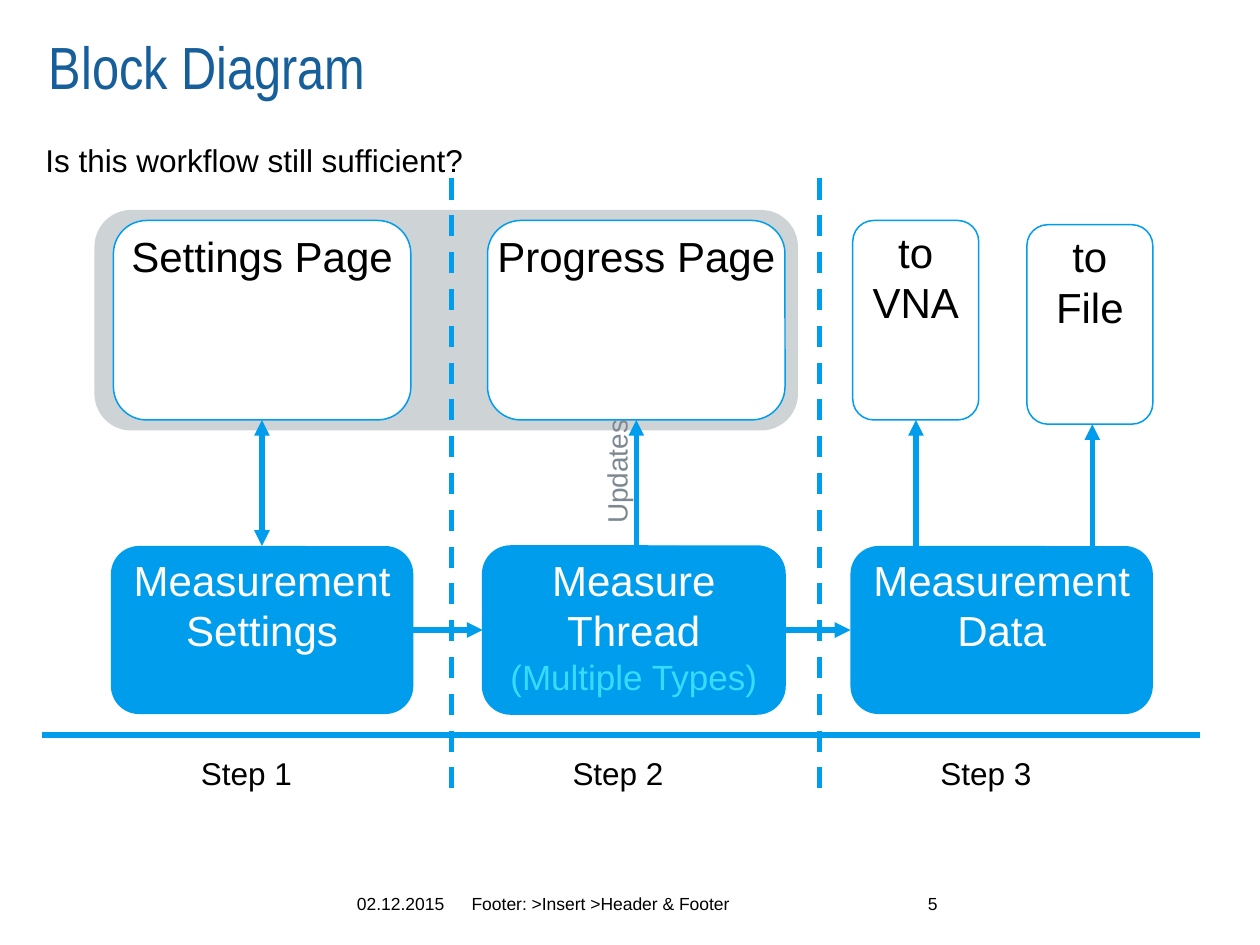
from pptx import Presentation
from pptx.dml.color import RGBColor
from pptx.enum.dml import MSO_LINE_DASH_STYLE as Dash
from pptx.enum.shapes import MSO_CONNECTOR as Connector, MSO_SHAPE as Shape
from pptx.enum.text import MSO_ANCHOR as Anchor, PP_ALIGN as Align
from pptx.oxml.ns import qn
from pptx.util import Pt
from lxml.etree import SubElement

COLOURS = {"blue": "009DEC", "title": "165F9A", "panel": "CED3D6", "cyan": "37DBFF",
           "grey": "7D8892", "black": "000000", "white": "FFFFFF"}
COLUMNS = (30.4, 242.8, 453)
BLOCK_WIDTH = 172.8


def colour(name):
    """Return the named colour."""
    return RGBColor.from_string(COLOURS[name])


def write(item, lines, align=Align.LEFT, spacing=None, inset=0, wrap=False):
    """Fill an item with lines of (text, size, colour, font)."""
    frame = item.text_frame
    settings = {"word_wrap": wrap, "vertical_anchor": Anchor.TOP}
    settings.update({f"margin_{side}": Pt(inset) for side in ("left", "right", "top", "bottom")})
    for name, value in settings.items():
        setattr(frame, name, value)
    for index, (text, size, tint, font) in enumerate(lines):
        para = frame.add_paragraph() if index else frame.paragraphs[0]
        para.alignment = align
        para.line_spacing = spacing
        span = para.add_run()
        span.text = text
        for name, value in {"name": font, "size": Pt(size)}.items():
            setattr(span.font, name, value)
        span.font.color.rgb = colour(tint)


def label(page, box, text, size, tint="black", font="Arial", **layout):
    """Add a text box with one line."""
    item = page.shapes.add_textbox(*map(Pt, box))
    write(item, [(text, size, tint, font)], **layout)
    return item


def block(page, box, fill, line=None, lines=()):
    """Add a rounded block with centred lines of (text, size, colour)."""
    item = page.shapes.add_shape(Shape.ROUNDED_RECTANGLE, *map(Pt, box))
    item.shadow.inherit = False
    item.fill.solid()
    item.fill.fore_color.rgb = colour(fill)
    if line:
        item.line.color.rgb = colour(line)
        item.line.width = Pt(0.85)
    else:
        item.line.fill.background()
    write(item, [(*entry, "Arial") for entry in lines], Align.CENTER)


def rule(page, start, end, heads=(), dash=None):
    """Add a blue line with optional arrowheads."""
    item = page.shapes.add_connector(Connector.STRAIGHT, *map(Pt, (*start, *end)))
    item.line.color.rgb = colour("blue")
    item.line.width = Pt(3)
    if dash:
        item.line.dash_style = dash
    outline = item.line._get_or_add_ln()
    for head in heads:
        SubElement(outline, qn(f"a:{head}"), type="triangle")
    SubElement(item._element.spPr, qn("a:effectLst"))


def add_header(page, box):
    """Place the title and the question."""
    left, top, width, height = box
    label(page, (left + 2, top, width, 60), "Block Diagram", 34, "title", "Arial Narrow")
    label(page, (left, top + 60.5, width, height - 60.5),
          "Is this workflow still sufficient?", 18, spacing=1.12)


def add_pages(page, box):
    """Place the two program pages on their grey panel."""
    left, top, width, height = box
    block(page, box, "panel")
    for offset, text in ((10.8, "Settings Page"), (224.6, "Progress Page")):
        block(page, (left + offset, top + 6, 170, height - 12), "white", "blue",
              [(text, 24, "black")])


def add_targets(page, box):
    """Place the two output targets."""
    left, top, width, height = box
    for offset, drop, name in ((0, 0, "VNA"), (width - 72, 2.4, "File")):
        block(page, (left + offset, top + drop, 72, height - 2.4), "white", "blue",
              [("to", 24, "black"), (name, 24, "black")])


def add_measurements(page, box):
    """Place the measurement blocks and the arrows between them."""
    left, top, width, height = box
    contents = (("Measurement", "Settings"), ("Measure", "Thread"), ("Measurement", "Data"))
    for index, (column, words) in enumerate(zip(COLUMNS, contents)):
        lines = [(word, 24, "white") for word in words]
        if index == 1:
            lines.append(("(Multiple Types)", 20, "cyan"))
        block(page, (left + column, top, BLOCK_WIDTH, height), "blue",
              "blue" if index == 1 else None, lines)
    for column, following in zip(COLUMNS, COLUMNS[1:]):
        middle = top + height / 2
        rule(page, (left + column + BLOCK_WIDTH, middle), (left + following, middle), ["tailEnd"])


def add_exchanges(page, box):
    """Place the upright arrows and the update label."""
    left, top, width, height = box
    arrows = ((0, 0, ["headEnd", "tailEnd"]), (213.9, 0, ["tailEnd"]),
              (373.7, 0, ["tailEnd"]), (width, 2.4, ["tailEnd"]))
    for offset, drop, heads in arrows:
        rule(page, (left + offset, top + height), (left + offset, top + drop), heads)
    updates = label(page, (left + 157, top + 16.3, 91.4, 26.6), "Updates", 16, "grey",
                    inset=3.6, align=Align.CENTER)
    updates.rotation = 270


def add_timeline(page, box):
    """Place the step dividers, the base line and the step names."""
    left, top, width, height = box
    for offset in (234, 444.2):
        rule(page, (left + offset, top), (left + offset, top + height), dash=Dash.DASH)
    base = top + height - 36
    rule(page, (left, base), (left + width, base))
    for number, column in enumerate(COLUMNS, 1):
        label(page, (left + column, base + 7.2, BLOCK_WIDTH, 28.8), f"Step {number}", 18,
              align=Align.CENTER, inset=3.6)


def add_footer(page, box):
    """Place the date, the footer text and the page number."""
    left, top, width, height = box
    label(page, (left, top, 62.6, height), "02.12.2015", 10)
    label(page, (left + 65.5, top, 226.8, height), "Footer: >Insert >Header & Footer", 10)
    label(page, (left + width - 39.6, top, 39.6, height), "5", 10, align=Align.RIGHT, wrap=True)


def main():
    """Build and save the slide."""
    deck = Presentation()
    deck.slide_width, deck.slide_height = Pt(720), Pt(540)
    page = deck.slides.add_slide(deck.slide_layouts[6])
    add_header(page, (26, 17.3, 652.3, 462))
    add_pages(page, (54, 120, 402, 126))
    add_timeline(page, (24, 102, 662, 354))
    add_measurements(page, (33, 312, 626, 96))
    add_targets(page, (487.3, 126, 171.5, 116.4))
    add_exchanges(page, (149.7, 240, 474.5, 72))
    add_footer(page, (204, 510.5, 331.7, 14.4))
    deck.save("out.pptx")


main()
